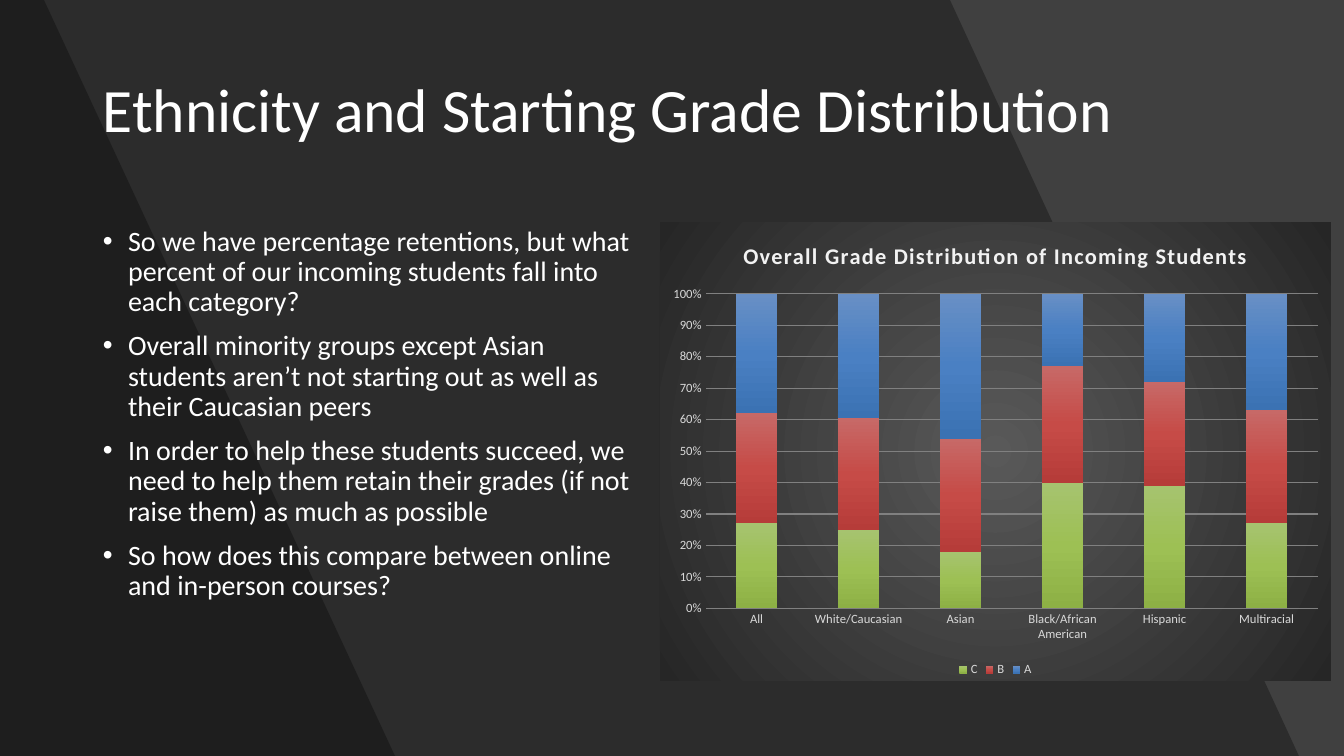
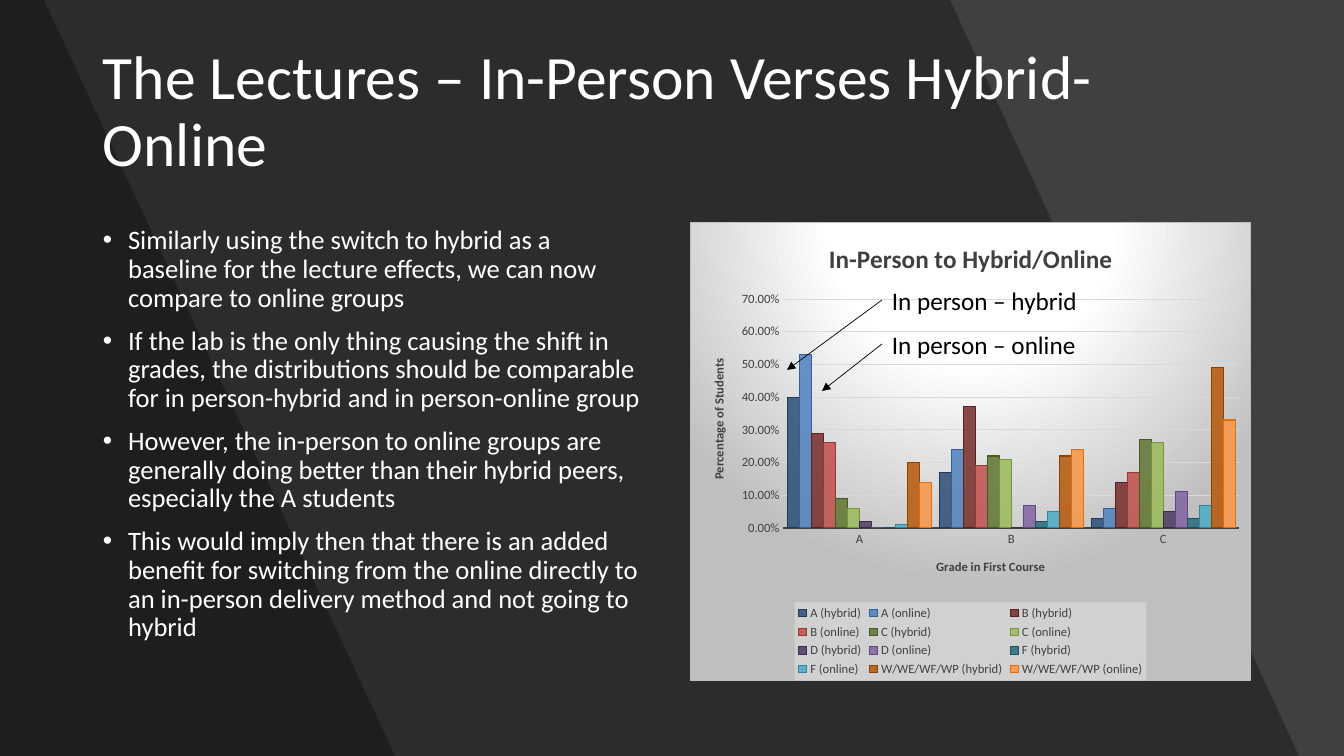
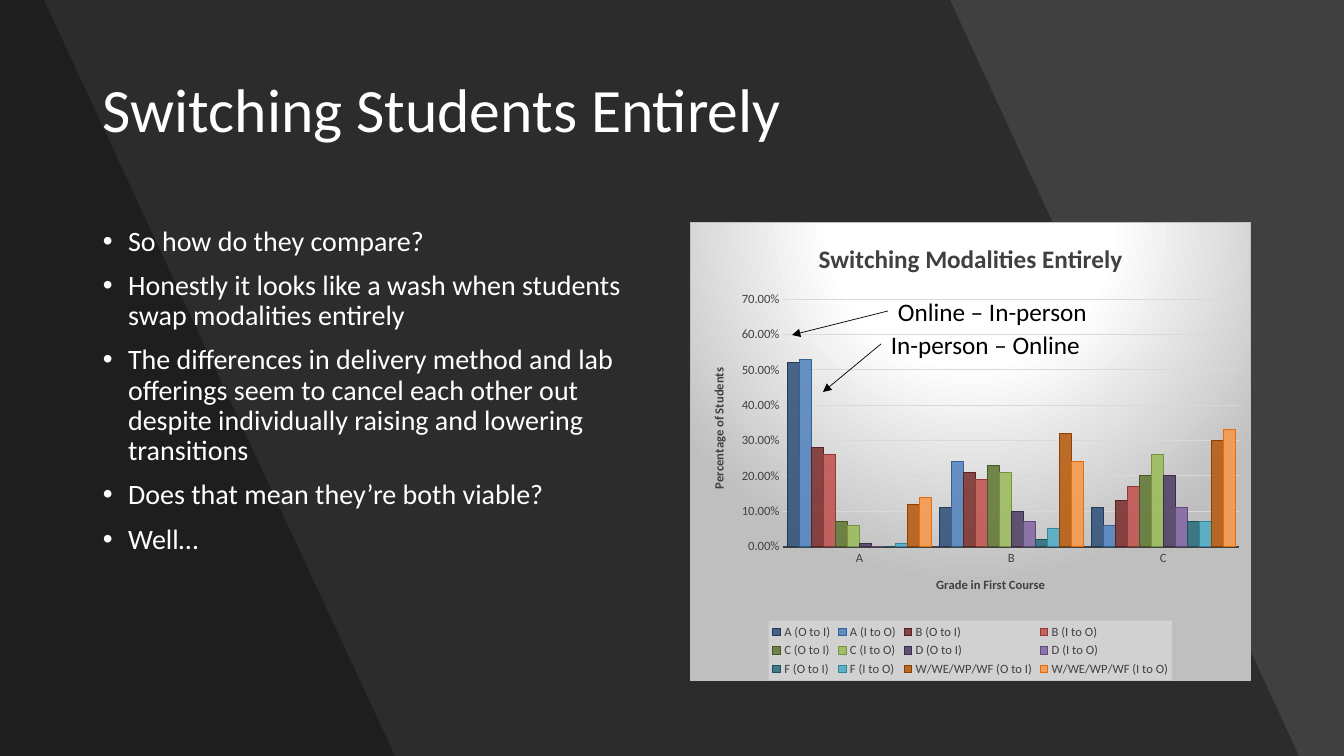
from lxml import etree
from pptx import Presentation
from pptx.chart.data import CategoryChartData
from pptx.dml.color import RGBColor
from pptx.enum.chart import XL_CHART_TYPE, XL_LEGEND_POSITION, XL_TICK_MARK
from pptx.enum.shapes import MSO_CONNECTOR
from pptx.enum.text import MSO_ANCHOR, MSO_AUTO_SIZE
from pptx.oxml.ns import qn
from pptx.oxml.xmlchemy import OxmlElement
from pptx.util import Pt

STACKED = XL_CHART_TYPE.COLUMN_STACKED_100
CLUSTERED = XL_CHART_TYPE.COLUMN_CLUSTERED
BOTTOM = XL_LEGEND_POSITION.BOTTOM
NO_TICK = XL_TICK_MARK.NONE
STRAIGHT = MSO_CONNECTOR.STRAIGHT
MIDDLE = MSO_ANCHOR.MIDDLE
GROW = MSO_AUTO_SIZE.SHAPE_TO_FIT_TEXT

PX = 9071
FONT = "Calibri"
WHITE, BLACK, CHARCOAL = "FFFFFF", "000000", "404040"
A_NS = "http://schemas.openxmlformats.org/drawingml/2006/main"
DOWNWARD = '<a:lin ang="5400000" scaled="0"/>'
RADIAL = '<a:path path="circle"><a:fillToRect l="50000" t="{}" r="50000" b="{}"/></a:path>'
BANDS = [[(950, 0), (1299, 756), (0, 756)], [(44, 0), (395, 756), (0, 756)]]

DARK = {
    "type": STACKED, "left": 660, "width": 671, "gap": 150, "overlap": 100,
    "area": [(0, "595959"), (100, "262626")], "aim": RADIAL.format(50000, 50000),
    "border": None, "title_size": 16, "title_color": "F2F2F2", "spacing": "100",
    "text": "D9D9D9", "grid": "808080", "format": "0%", "max": None, "step": None,
    "cats": ["All", "White/Caucasian", "Asian", "Black/African American", "Hispanic", "Multiracial"],
    "axis_titles": None, "legend_fill": None,
    "series": [
        ([(0, "A6C36F"), (50, "9DC054"), (100, "8DB045")], None),
        ([(0, "C76967"), (50, "C64B47"), (100, "B63C39")], None),
        ([(0, "688FC5"), (50, "4A80C3"), (100, "3B72B3")], None),
    ],
    "alpha": 100,
}
PAIRS = [
    ("2C4D75", "213A58"), ("4F81BD", "376092"), ("772C2A", "592120"), ("C0504D", "953735"),
    ("5F7530", "475824"), ("9BBB59", "77933C"), ("4D3B62", "3A2C4A"), ("8064A2", "604A7B"),
    ("276A7C", "1E505D"), ("4BACC6", "31859C"), ("B65708", "894106"), ("F79646", "E46C0A"),
]
LIGHT = {
    "type": CLUSTERED, "left": 690, "width": 561, "gap": 65, "overlap": 0,
    "area": [(0, WHITE), (39, WHITE), (100, "BFBFBF")], "aim": RADIAL.format(-80000, 180000),
    "border": "BFBFBF", "title_size": 18, "title_color": CHARCOAL, "spacing": "0",
    "text": CHARCOAL, "grid": "D9D9D9", "format": "0.00%", "max": 0.7, "step": 0.1,
    "cats": ["A", "B", "C"],
    "axis_titles": ["Grade in First Course", "Percentage of Students"], "legend_fill": "D9D9D9",
    "series": [([(0, fill)], line) for fill, line in PAIRS],
    "alpha": 85,
}

SLIDES = [
    {
        "title": "Ethnicity and Starting Grade Distribution",
        "size": 20,
        "bullets": [
            "So we have percentage retentions, but what percent of our incoming students fall into each category?",
            "Overall minority groups except Asian students aren’t not starting out as well as their Caucasian peers",
            "In order to help these students succeed, we need to help them retain their grades (if not raise them) as much as possible",
            "So how does this compare between online and in-person courses?",
        ],
        "look": DARK,
        "chart_title": "Overall Grade Distribution of Incoming Students",
        "names": ["C", "B", "A"],
        "values": [(27, 25, 18, 40, 39, 27), (35, 36, 36, 37, 33, 36), (38, 40, 46, 23, 28, 37)],
        "labels": [],
    },
    {
        "title": "The Lectures – In-Person Verses Hybrid-Online",
        "size": 19,
        "bullets": [
            "Similarly using the switch to hybrid as a baseline for the lecture effects, we can now compare to online groups",
            "If the lab is the only thing causing the shift in grades, the distributions should be comparable for in person-hybrid and in person-online group",
            "However, the in-person to online groups are generally doing better than their hybrid peers, especially the A students",
            "This would imply then that there is an added benefit for switching from the online directly to an in-person delivery method and not going to hybrid",
        ],
        "look": LIGHT,
        "chart_title": "In-Person to Hybrid/Online",
        "names": [f"{grade} ({mode})" for grade in ("A", "B", "C", "D", "F", "W/WE/WF/WP")
                  for mode in ("hybrid", "online")],
        "values": [
            (0.4, 0.17, 0.03), (0.53, 0.24, 0.06), (0.29, 0.37, 0.14), (0.26, 0.19, 0.17),
            (0.09, 0.22, 0.27), (0.06, 0.21, 0.26), (0.02, 0, 0.05), (0, 0.07, 0.11),
            (0, 0.02, 0.03), (0.01, 0.05, 0.07), (0.2, 0.22, 0.49), (0.14, 0.24, 0.33),
        ],
        "labels": [("In person – hybrid", 882, 280, 256, 787, 370),
                   ("In person – online", 882, 324, 214, 822, 391)],
    },
    {
        "title": "Switching Students Entirely",
        "size": 20,
        "bullets": [
            "So how do they compare?",
            "Honestly it looks like a wash when students swap modalities entirely",
            "The differences in delivery method and lab offerings seem to cancel each other out despite individually raising and lowering transitions",
            "Does that mean they’re both viable?",
            "Well…",
        ],
        "look": LIGHT,
        "chart_title": "Switching Modalities Entirely",
        "names": [f"{grade} ({mode})" for grade in ("A", "B", "C", "D", "F", "W/WE/WP/WF")
                  for mode in ("O to I", "I to O")],
        "values": [
            (0.52, 0.11, 0.11), (0.53, 0.24, 0.06), (0.28, 0.21, 0.13), (0.26, 0.19, 0.17),
            (0.07, 0.23, 0.2), (0.06, 0.21, 0.26), (0.01, 0.1, 0.2), (0, 0.07, 0.11),
            (0, 0.02, 0.07), (0.01, 0.05, 0.07), (0.12, 0.32, 0.3), (0.14, 0.24, 0.33),
        ],
        "labels": [("Online – In-person", 888, 291, 256, 792, 335),
                   ("In-person – Online", 881, 324, 216, 823, 392)],
    },
]

rgb = RGBColor.from_string


def style(font, size, color, bold=False):
    font.name = FONT
    font.size = Pt(size)
    font.bold = bold
    font.color.rgb = rgb(color)


def paint(spPr, stops, line=None, alpha=100, aim=DOWNWARD):
    tint = '<a:srgbClr val="{}"><a:alpha val="{}"/></a:srgbClr>'
    if len(stops) == 1:
        fill = f"<a:solidFill>{tint.format(stops[0][1], alpha * 1000)}</a:solidFill>"
    else:
        marks = "".join(f'<a:gs pos="{at * 1000}">{tint.format(color, alpha * 1000)}</a:gs>'
                        for at, color in stops)
        fill = f'<a:gradFill rotWithShape="1"><a:gsLst>{marks}</a:gsLst>{aim}</a:gradFill>'
    stroke = f"<a:solidFill>{tint.format(line, 100000)}</a:solidFill>" if line else "<a:noFill/>"
    xml = f'<a:root xmlns:a="{A_NS}">{fill}<a:ln w="9525">{stroke}</a:ln></a:root>'
    spPr.extend(list(etree.fromstring(xml)))


prs = Presentation()
prs.slide_width = 1344 * PX
prs.slide_height = 756 * PX

for page in SLIDES:
    s = prs.slides.add_slide(prs.slide_layouts[6])
    s.background.fill.solid()
    s.background.fill.fore_color.rgb = rgb(CHARCOAL)
    for corners in BANDS:
        outline = s.shapes.build_freeform(0, 0, scale=PX)
        outline.add_line_segments(corners, close=True)
        band = outline.convert_to_shape()
        paint(band._element.spPr, [(0, BLACK)], alpha=30)
        band.shadow.inherit = False

    tf = s.shapes.add_textbox(93 * PX, 40 * PX, 1159 * PX, 146 * PX).text_frame
    tf.word_wrap = True
    tf.vertical_anchor = MIDDLE
    tf.text = page["title"]
    tf.paragraphs[0].line_spacing = 0.9
    style(tf.paragraphs[0].runs[0].font, 44, WHITE)

    tf = s.shapes.add_textbox(93 * PX, 222 * PX, 561 * PX, 460 * PX).text_frame
    tf.word_wrap = True
    tf.text = "\n".join(page["bullets"])
    for i, p in enumerate(tf.paragraphs):
        pPr = p._p.get_or_add_pPr()
        pPr.set("marL", "228600")
        pPr.set("indent", "-228600")
        etree.SubElement(pPr, qn("a:buFont")).set("typeface", "Arial")
        etree.SubElement(pPr, qn("a:buChar")).set("char", "•")
        p.line_spacing = 0.9
        p.space_before = Pt(10 if i else 0)
        style(p.runs[0].font, page["size"], WHITE)

    look = page["look"]
    data = CategoryChartData(number_format="General" if look is DARK else look["format"])
    data.categories = look["cats"]
    for name, values in zip(page["names"], page["values"]):
        data.add_series(name, values)
    chart = s.shapes.add_chart(look["type"], look["left"] * PX, 222 * PX,
                               look["width"] * PX, 459 * PX, data).chart
    style(chart.font, 10, WHITE)

    chart.has_title = True
    tf = chart.chart_title.text_frame
    tf.text = page["chart_title"]
    r = tf.paragraphs[0].runs[0]
    style(r.font, look["title_size"], look["title_color"], True)
    r._r.get_or_add_rPr().set("spc", look["spacing"])

    plot = chart.plots[0]
    plot.vary_by_categories = False
    plot.gap_width = look["gap"]
    plot.overlap = look["overlap"]
    for ser, (stops, line) in zip(plot.series, look["series"]):
        ser.invert_if_negative = False
        paint(ser._element.get_or_add_spPr(), stops, line, look["alpha"])

    cat, val = chart.category_axis, chart.value_axis
    for axis in (cat, val):
        axis.major_tick_mark = NO_TICK
        axis.minor_tick_mark = NO_TICK
        axis.format.line.fill.background()
        style(axis.tick_labels.font, 9, look["text"])
    val.tick_labels.number_format = look["format"]
    val.tick_labels.number_format_is_linked = False
    val.minimum_scale = 0
    val.maximum_scale = look["max"]
    val.major_unit = look["step"]
    val.has_major_gridlines = True
    val.major_gridlines.format.line.color.rgb = rgb(look["grid"])
    val.major_gridlines.format.line.width = Pt(0.75)
    if look["axis_titles"]:
        cat.format.line.color.rgb = rgb(CHARCOAL)
        cat.format.line.width = Pt(1.5)
        for axis, words in zip((cat, val), look["axis_titles"]):
            tf = axis.axis_title.text_frame
            tf.text = words
            style(tf.paragraphs[0].runs[0].font, 9, look["text"], True)
        tf._txBody.bodyPr.set("rot", "-5400000")
        tf._txBody.bodyPr.set("vert", "horz")

    chart.has_legend = True
    chart.legend.position = BOTTOM
    chart.legend.include_in_layout = False
    style(chart.legend.font, 9, look["text"])

    areas = [(chart._chartSpace, look["area"], look["border"], 100)]
    if look["legend_fill"]:
        areas.append((chart.legend._element, [(0, look["legend_fill"])], None, 70))
    for holder, stops, line, alpha in areas:
        spPr = OxmlElement("c:spPr")
        holder.find(qn("c:txPr")).addprevious(spPr)
        paint(spPr, stops, line, alpha, look["aim"])

    for words, left, top, width, tip_x, tip_y in page["labels"]:
        label = s.shapes.add_textbox(left * PX, top * PX, width * PX, 40 * PX)
        tf = label.text_frame
        tf.word_wrap = True
        tf.auto_size = GROW
        tf.text = words
        style(tf.paragraphs[0].runs[0].font, 18, BLACK)
        arrow = s.shapes.add_connector(STRAIGHT, left * PX, (top + 20) * PX, tip_x * PX, tip_y * PX)
        arrow.begin_connect(label, 1)
        arrow.line.color.rgb = rgb(BLACK)
        arrow.line.width = Pt(0.5)
        etree.SubElement(arrow.line._get_or_add_ln(), qn("a:tailEnd")).set("type", "triangle")
        etree.SubElement(arrow._element.spPr, qn("a:effectLst"))

prs.save("out.pptx")
